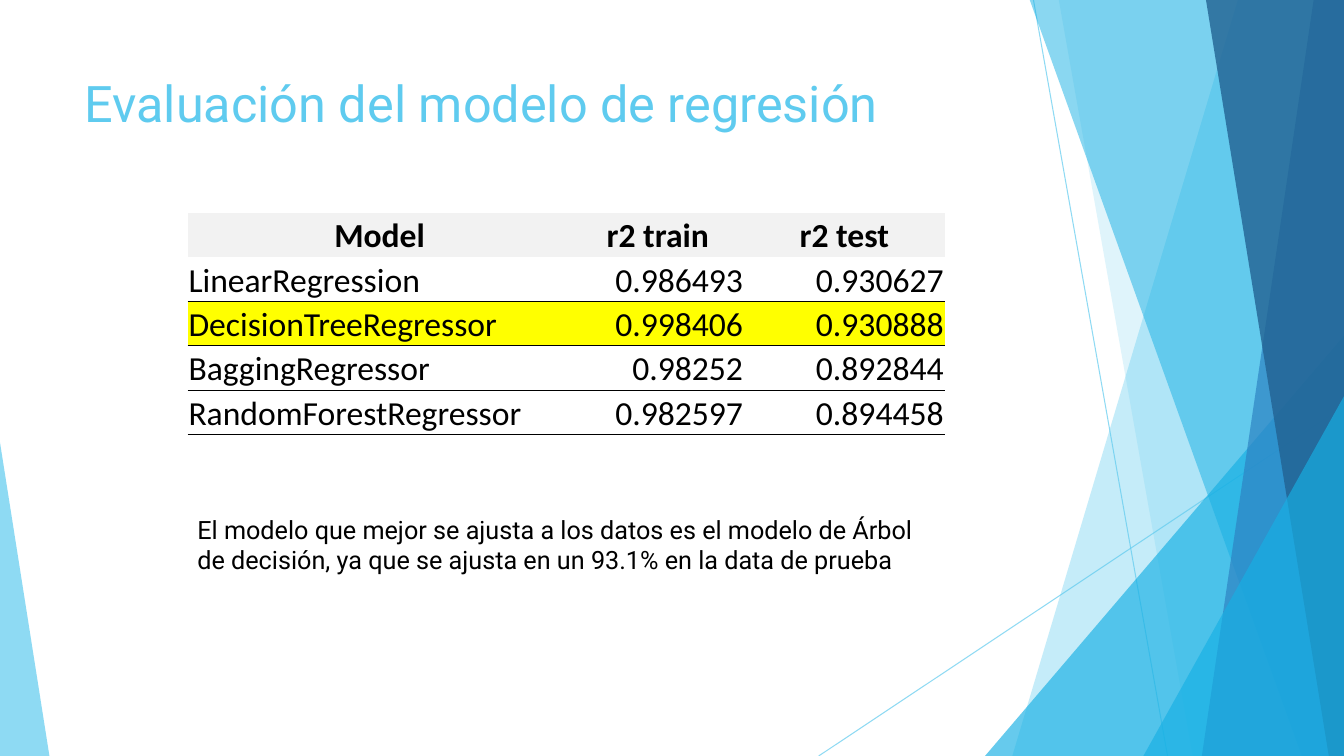
from dataclasses import dataclass

from lxml.etree import SubElement
from pptx import Presentation
from pptx.dml.color import RGBColor as RGB
from pptx.enum.shapes import MSO_CONNECTOR as Link, MSO_SHAPE as Preset
from pptx.enum.text import MSO_ANCHOR as Anchor, PP_ALIGN as Align
from pptx.oxml import parse_xml
from pptx.oxml.ns import nsdecls, qn
from pptx.util import Inches, Pt


@dataclass(frozen=True)
class Theme:
    sky: str = "5FCBEF"
    cyan: str = "17B0E4"
    blue: str = "2E83C3"
    navy: str = "226292"
    ink: str = "000000"
    head: str = "F2F2F2"
    mark: str = "FFFF00"
    font: str = "Roboto"
    grid: str = "Calibri"
    title: int = 36
    cell: int = 24
    body: int = 18
    rule: float = 0.5
    thin: float = 0.75


THEME = Theme()
WIDE, HIGH, TOP = 13.33, 7.5, -0.01
PLAIN = "{2D5ABB26-0587-4C30-8999-92F81FD0307C}"  # no style, no grid

LINES = [((10.25, 0), (11.58, HIGH)), ((WIDE, 4.03), (8.12, HIGH))]

# Left edge at the top, left edge at the bottom, colour, opacity
BANDS_BACK = [(12.28, 10.04, THEME.sky, 36), (10.5, 11.83, THEME.sky, 20)]
BANDS_FRONT = [
    (10.21, 12.91, THEME.cyan, 50),
    (13.03, 11.92, THEME.blue, 70),
    (11.96, 13.18, THEME.navy, 80),
]

COLS = [3.81, 1.71, 1.99]
ROW = 0.44
ROWS = [
    ("Model", "r2 train", "r2 test"),
    ("LinearRegression", "0.986493", "0.930627"),
    ("DecisionTreeRegressor", "0.998406", "0.930888"),
    ("BaggingRegressor", "0.98252", "0.892844"),
    ("RandomForestRegressor", "0.982597", "0.894458"),
]
FILLS = {0: THEME.head, 2: THEME.mark}


def box(*sizes):
    return [Inches(size) for size in sizes]


def fade(shape, alpha):
    """Set the opacity, in percent, of every colour on the shape."""
    for color in shape._element.spPr.iter(qn("a:srgbClr")):
        SubElement(color, qn("a:alpha"), val=str(alpha * 1000))


def paint(shape, color, alpha):
    shape.shadow.inherit = False
    shape.fill.solid()
    shape.fill.fore_color.rgb = RGB.from_string(color)
    shape.line.fill.background()
    fade(shape, alpha)


def write(frame, text, size, color=THEME.ink, font=THEME.font,
          bold=False, align=Align.LEFT):
    frame.word_wrap = True
    par = frame.paragraphs[0]
    par.alignment = align
    run = par.add_run()
    run.text = text
    run.font.size = Pt(size)
    run.font.name = font
    run.font.bold = bold
    run.font.color.rgb = RGB.from_string(color)


def add_text(slide, place, text, size, **style):
    frame = slide.shapes.add_textbox(*box(*place)).text_frame
    frame.vertical_anchor = Anchor.TOP
    write(frame, text, size, **style)


def add_line(slide, start, end):
    line = slide.shapes.add_connector(Link.STRAIGHT, *box(*start, *end))
    line.line.color.rgb = RGB.from_string(THEME.sky)
    line.line.width = Pt(THEME.thin)
    fade(line, 70)
    SubElement(line._element.spPr, qn("a:effectLst"))


def add_band(slide, top, foot, color, alpha):
    """Draw a band that runs from a slanted left edge to the slide's right."""
    pen = slide.shapes.build_freeform(*box(top, TOP), scale=1.0)
    points = [(WIDE, TOP), (WIDE, HIGH), (foot, HIGH)]
    pen.add_line_segments([box(*point) for point in points], close=True)
    paint(pen.convert_to_shape(), color, alpha)


def add_peak(slide, left, top, width, tip, color, alpha):
    """Draw a triangle on the slide's foot; tip 0 is left, 1 is right."""
    place = box(left, top, width, HIGH - top)
    peak = slide.shapes.add_shape(Preset.ISOSCELES_TRIANGLE, *place)
    peak.adjustments[0] = tip
    paint(peak, color, alpha)


def add_rule(cell):
    """Draw the bottom border of a cell."""
    cell._tc.get_or_add_tcPr().insert(0, parse_xml(
        f'<a:lnB {nsdecls("a")} w="{Pt(THEME.rule)}"><a:solidFill>'
        f'<a:srgbClr val="{THEME.ink}"/></a:solidFill></a:lnB>'))


def fill_cell(cell, text, row, col):
    cell.margin_left = cell.margin_right = cell.margin_top = Inches(0.01)
    cell.margin_bottom = 0
    cell.vertical_anchor = Anchor.BOTTOM
    if row in FILLS:
        cell.fill.solid()
        cell.fill.fore_color.rgb = RGB.from_string(FILLS[row])
    else:
        cell.fill.background()
    if row == 0:
        align = Align.CENTER
    else:
        align = Align.RIGHT if col else Align.LEFT
        add_rule(cell)
    write(cell.text_frame, text, THEME.cell, font=THEME.grid,
          bold=row == 0, align=align)


def add_scores(slide, left, top):
    place = box(left, top, sum(COLS), ROW * len(ROWS))
    table = slide.shapes.add_table(len(ROWS), len(COLS), *place).table
    table.horz_banding = False
    table._tbl.tblPr.find(qn("a:tableStyleId")).text = PLAIN
    for col, width in enumerate(COLS):
        table.columns[col].width = Inches(width)
    for row, texts in enumerate(ROWS):
        table.rows[row].height = Inches(ROW)
        for col, text in enumerate(texts):
            fill_cell(table.cell(row, col), text, row, col)


def add_decor(slide):
    for start, end in LINES:
        add_line(slide, start, end)
    for band in BANDS_BACK:
        add_band(slide, *band)
    add_peak(slide, 9.77, 3.33, 3.56, 1, THEME.cyan, 66)
    for band in BANDS_FRONT:
        add_band(slide, *band)
    add_peak(slide, 11.34, 3.93, 1.99, 1, THEME.cyan, 66)
    add_peak(slide, 0, 4.39, 0.49, 0, THEME.sky, 70)


def main():
    deck = Presentation()
    deck.slide_width, deck.slide_height = box(WIDE, HIGH)
    slide = deck.slides.add_slide(deck.slide_layouts[6])
    add_decor(slide)
    add_text(slide, (0.74, 0.67, 9.4, 1.44),
             "Evaluación del modelo de regresión",
             THEME.title, color=THEME.sky)
    add_scores(slide, 1.86, 2.11)
    add_text(slide, (1.86, 5.05, 7.5, 0.71),
             "El modelo que mejor se ajusta a los datos es el modelo de Árbol "
             "de decisión, ya que se ajusta en un 93.1% en la data de prueba",
             THEME.body)
    deck.save("out.pptx")


if __name__ == "__main__":
    main()
